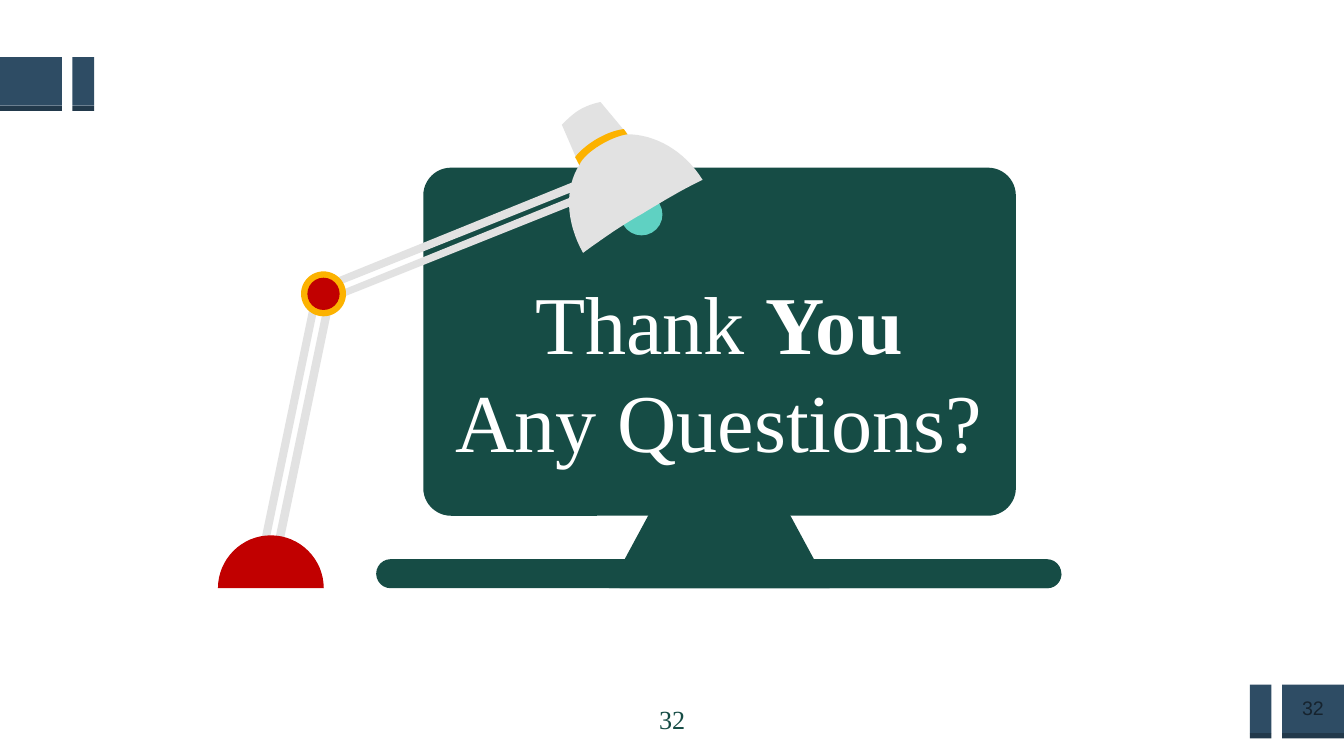
from dataclasses import dataclass

from pptx import Presentation
from pptx.dml.color import RGBColor
from pptx.enum.shapes import MSO_SHAPE
from pptx.enum.text import MSO_ANCHOR, PP_ALIGN
from pptx.util import Cm, Pt


@dataclass(frozen=True)
class Theme:
    """Colours, fonts and type sizes of the slide."""
    navy: str = "2E4C64"
    navy_dark: str = "22394B"
    ink: str = "16232E"
    green: str = "164C45"
    mint: str = "5FD1C2"
    grey: str = "E2E2E2"
    amber: str = "FCB200"
    red: str = "C10000"
    white: str = "FFFFFF"
    serif: str = "Times New Roman"
    sans: str = "Arial"
    title_size: float = 44
    number_size: float = 14
    corner_size: float = 10.5


THEME = Theme()
PAGE_NUMBER = "32"
SHADE = ((10.95, 2.08), [
    [(11.07, 2.01), (11.2, 1.96), (11.35, 1.93)],
    [(11.86, 2.54)],
    [(12.37, 2.54), (12.93, 2.84), (13.28, 3.4)],
    [(12.9, 3.58), (12.52, 3.81), (12.14, 4.04)],
    [(11.73, 4.27), (11.38, 4.52), (11.02, 4.78)],
    [(10.69, 4.19), (10.67, 3.56), (10.95, 3.12)],
    [(10.62, 2.36)],
    [(10.72, 2.26), (10.82, 2.16), (10.95, 2.08)]])
SHADE_BAND = ((10.87, 2.97), [
    [(11.05, 2.74), (11.43, 2.49), (11.79, 2.44)],
    [(11.86, 2.54)],
    [(11.58, 2.57), (11.05, 2.87), (10.95, 3.12)]])
FOOT = ((4.12, 11.12), [
    [(4.12, 10.57), (4.57, 10.12), (5.12, 10.12)],
    [(5.67, 10.12), (6.12, 10.57), (6.12, 11.12)]])
BASE_EDGE = ((20.06, 10.85), [
    [(20.06, 11), (19.94, 11.12), (19.79, 11.12)],
    [(11.71, 11.12)],
    [(11.68, 10.85)]])
LOWER_ARM = ([(5.84, 5.87), (6.25, 5.94), (5.21, 10.95), (4.8, 10.87)],
             [(5.99, 5.89), (4.95, 10.9), (5.05, 10.92), (6.1, 5.89)])
UPPER_ARM = ([(11.58, 3.58), (11.43, 3.2), (6.35, 5.26), (6.5, 5.61)],
             [(11.53, 3.43), (6.45, 5.49), (6.43, 5.38), (11.51, 3.35)])


def paint(shape, color):
    """Give a shape a flat fill without line or shadow."""
    shape.shadow.inherit = False
    shape.fill.solid()
    shape.fill.fore_color.rgb = RGBColor.from_string(color)
    shape.line.fill.background()


def add_block(shapes, kind, place, color, adjust=None):
    """Add a flat preset shape; place is left, top, width, height in cm."""
    block = shapes.add_shape(kind, *map(Cm, place))
    paint(block, color)
    if adjust is not None:
        block.adjustments[0] = adjust


def add_outline(shapes, contours, color):
    """Add a flat polygon made of one or more closed contours."""
    first, *holes = [[(Cm(x), Cm(y)) for x, y in ring] for ring in contours]
    builder = shapes.build_freeform(*first[0])
    builder.add_line_segments(first[1:])
    for hole in holes:
        builder.move_to(*hole[0])
        builder.add_line_segments(hole[1:])
    paint(builder.convert_to_shape(), color)


def flatten(start, segments, steps=16):
    """Turn lines and cubic curves into a list of points."""
    points = [start]
    for segment in segments:
        if len(segment) == 1:
            points += segment
            continue
        controls = [points[-1], *segment]
        for step in range(1, steps + 1):
            t = step / steps
            weights = ((1 - t) ** 3, 3 * t * (1 - t) ** 2, 3 * t * t * (1 - t), t ** 3)
            points.append(tuple(sum(w * c[axis] for w, c in zip(weights, controls))
                                for axis in (0, 1)))
    return points


def style_span(span, size, font, color, bold=False):
    """Set the type of one run."""
    span.font.size = Pt(size)
    span.font.name = font
    span.font.bold = bold
    span.font.color.rgb = RGBColor.from_string(color)


def add_number(page, kind, place, size, font, color):
    """Add the centred page number in an unfilled shape."""
    box = page.shapes.add_shape(kind, *map(Cm, place))
    box.shadow.inherit = False
    box.fill.background()
    box.line.fill.background()
    frame = box.text_frame
    frame.text = PAGE_NUMBER
    frame.word_wrap = False
    frame.vertical_anchor = MSO_ANCHOR.MIDDLE
    para = frame.paragraphs[0]
    para.alignment = PP_ALIGN.CENTER
    style_span(para.runs[0], size, font, color)


def add_corner_bars(page, top, columns):
    """Add navy bars with a dark lower edge."""
    group = page.shapes.add_group_shape()
    for left, width in columns:
        add_block(group.shapes, MSO_SHAPE.RECTANGLE, (left, top, width, 0.92), THEME.navy)
        add_block(group.shapes, MSO_SHAPE.RECTANGLE, (left, top + 0.92, width, 0.1), THEME.navy_dark)


def add_monitor(page):
    """Draw the monitor with its stand and base."""
    shapes = page.shapes.add_group_shape().shapes
    add_block(shapes, MSO_SHAPE.TRAPEZOID, (11.51, 9.27, 4.17, 1.85), THEME.green, 0.54)
    add_block(shapes, MSO_SHAPE.ROUNDED_RECTANGLE, (8, 3.17, 11.2, 6.58), THEME.green, 0.08)
    add_block(shapes, MSO_SHAPE.RECTANGLE, (8.33, 3.48, 10.52, 5.33), THEME.green)
    add_block(shapes, MSO_SHAPE.ROUNDED_RECTANGLE, (7.11, 10.57, 12.95, 0.55), THEME.green, 0.5)
    add_outline(shapes, [flatten(*BASE_EDGE)], THEME.green)


def add_lamp(page):
    """Draw the desk lamp over the monitor."""
    add_block(page.shapes, MSO_SHAPE.OVAL, (11.73, 3.66, 0.79, 0.79), THEME.mint)
    shapes = page.shapes.add_group_shape().shapes
    for arm in (LOWER_ARM, UPPER_ARM):
        add_outline(shapes, arm, THEME.grey)
    add_outline(shapes, [flatten(*SHADE)], THEME.grey)
    add_block(shapes, MSO_SHAPE.OVAL, (5.69, 5.13, 0.85, 0.85), THEME.amber)
    add_outline(shapes, [flatten(*SHADE_BAND)], THEME.amber)
    add_block(shapes, MSO_SHAPE.OVAL, (5.81, 5.25, 0.61, 0.61), THEME.red)
    add_outline(shapes, [flatten(*FOOT)], THEME.red)


def add_closing_title(page):
    """Fill the title placeholder and bring it in front of the monitor."""
    title = page.shapes.title
    title.left, title.top, title.width, title.height = map(Cm, (8.36, 5, 10.46, 4.01))
    frame = title.text_frame
    frame.word_wrap = False
    frame.margin_left = frame.margin_right = Cm(0)
    frame.vertical_anchor = MSO_ANCHOR.MIDDLE
    lines = ([("Thank ", False), ("You", True)], [("Any Questions?", False)])
    for index, line in enumerate(lines):
        para = frame.add_paragraph() if index else frame.paragraphs[0]
        para.alignment = PP_ALIGN.CENTER
        for words, bold in line:
            span = para.add_run()
            span.text = words
            style_span(span, THEME.title_size, THEME.serif, THEME.white, bold)
    title.element.getparent().append(title.element)


def main():
    """Build the closing slide."""
    deck = Presentation()
    deck.slide_width, deck.slide_height = Cm(25.4), Cm(14.29)
    page = deck.slides.add_slide(deck.slide_layouts[5])
    add_corner_bars(page, 1.08, [(0, 1.17), (1.37, 0.41)])
    add_corner_bars(page, 12.94, [(24.23, 1.17), (23.62, 0.41)])
    add_number(page, MSO_SHAPE.RECTANGLE, (24.33, 13.03, 0.97, 0.71),
               THEME.corner_size, THEME.sans, THEME.ink)
    add_monitor(page)
    add_lamp(page)
    add_closing_title(page)
    add_number(page, MSO_SHAPE.ROUNDED_RECTANGLE, (12.12, 13.34, 1.17, 0.51),
               THEME.number_size, THEME.serif, THEME.green)
    deck.save("out.pptx")


if __name__ == "__main__":
    main()
